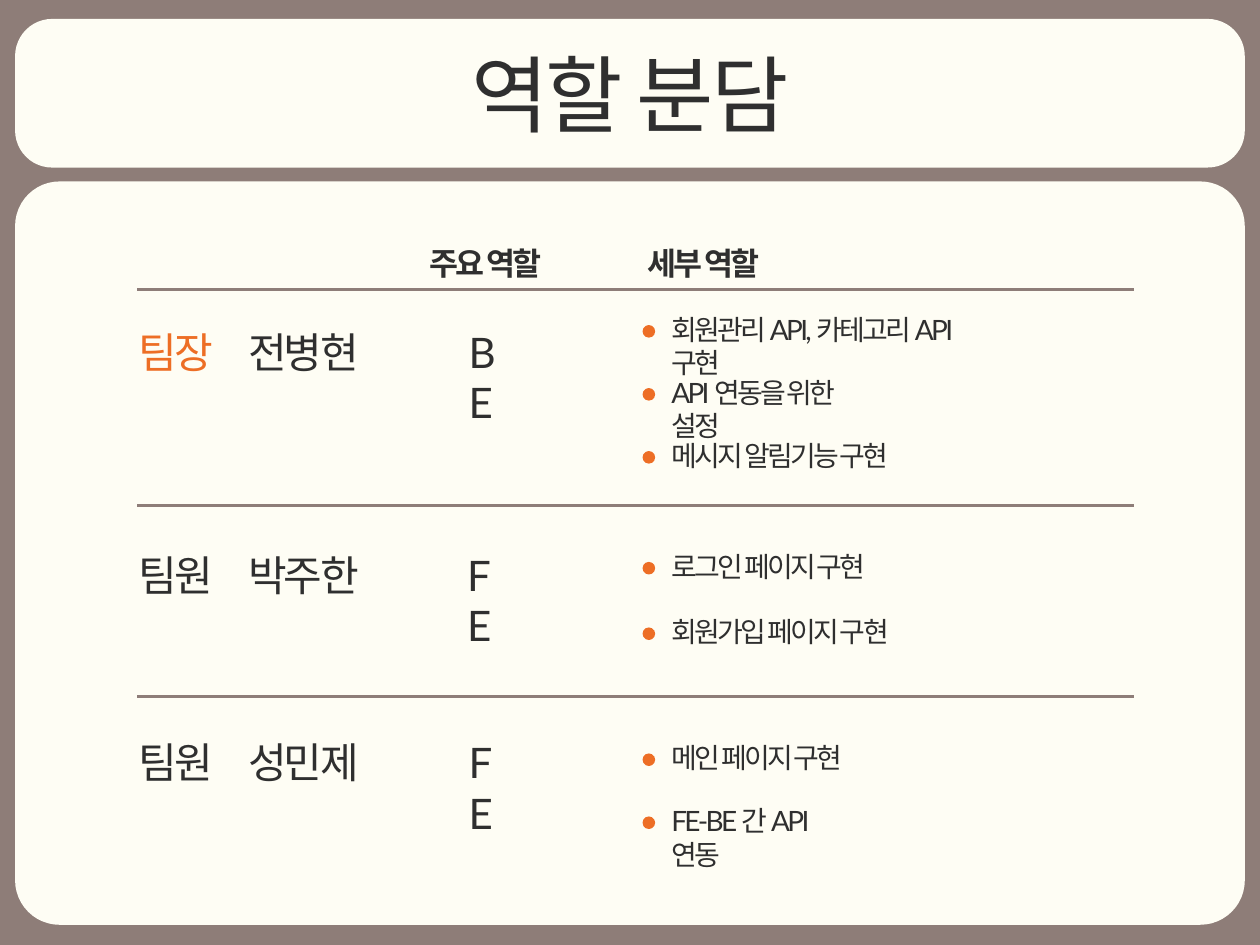
"""Build the team role assignment slide."""
from lxml.etree import SubElement
from pptx import Presentation
from pptx.dml.color import RGBColor
from pptx.enum.shapes import MSO_CONNECTOR, MSO_SHAPE
from pptx.enum.text import MSO_ANCHOR, MSO_AUTO_SIZE, PP_ALIGN
from pptx.oxml.ns import qn
from pptx.util import Inches, Pt

TAUPE = RGBColor(0x8E, 0x7D, 0x78)
CREAM = RGBColor(0xFE, 0xFD, 0xF4)
DARK = RGBColor(0x2F, 0x2F, 0x2F)
ORANGE = RGBColor(0xED, 0x6E, 0x25)
KOREAN_FONT = "Noto Sans CJK KR"
LATIN_FONT = "Lato"


def write_text(shape, text, size, font_name, color=DARK, bold=False):
    frame = shape.text_frame
    frame.word_wrap = True
    frame.auto_size = MSO_AUTO_SIZE.SHAPE_TO_FIT_TEXT
    frame.vertical_anchor = MSO_ANCHOR.TOP
    paragraph = frame.paragraphs[0]
    paragraph.text = text
    font = paragraph.font
    font.size = Pt(size)
    font.bold = bold
    font.color.rgb = color
    font.name = font_name
    properties = paragraph._p.pPr.find(qn("a:defRPr"))
    properties.set("spc", "-150")
    SubElement(properties, qn("a:ea")).set("typeface", KOREAN_FONT)


def add_filled_shape(shapes, kind, left, top, width, height, color):
    shape = shapes.add_shape(kind, Inches(left), Inches(top), Inches(width), Inches(height))
    shape.shadow.inherit = False
    shape.fill.solid()
    shape.fill.fore_color.rgb = color
    shape.line.fill.background()
    return shape


presentation = Presentation()
presentation.slide_width = Inches(10)
presentation.slide_height = Inches(7.5)
slide = presentation.slides.add_slide(presentation.slide_layouts[5])
slide.background.fill.solid()
slide.background.fill.fore_color.rgb = TAUPE

for top, height, rounding in [(0.15, 1.18, 0.25), (1.44, 5.9, 0.06)]:
    card = add_filled_shape(slide.shapes, MSO_SHAPE.ROUNDED_RECTANGLE, 0.12, top, 9.76, height, CREAM)
    card.adjustments[0] = rounding

title = slide.shapes.title
title.left, title.top, title.width, title.height = Inches(3.59), Inches(0.29), Inches(2.82), Inches(0.91)
write_text(title, "역할 분담", 48, KOREAN_FONT)
title.text_frame.paragraphs[0].alignment = PP_ALIGN.CENTER
slide.shapes._spTree.append(title._element)

for left, heading in [(3.31, "주요 역할"), (5.04, "세부 역할")]:
    box = slide.shapes.add_textbox(Inches(left), Inches(1.89), Inches(1.16), Inches(0.4))
    write_text(box, heading, 18, LATIN_FONT, bold=True)

for top in (2.3, 4.01, 5.53):
    divider = slide.shapes.add_connector(
        MSO_CONNECTOR.STRAIGHT, Inches(1.09), Inches(top), Inches(9), Inches(top))
    divider.line.color.rgb = TAUPE
    divider.line.width = Pt(1.5)
    SubElement(divider._element.spPr, qn("a:effectLst"))

members = [
    (2.54, "팀장", ORANGE, "전병현", "BE", 3.62, 0.55),
    (4.31, "팀원", DARK, "박주한", "FE", 3.61, 0.52),
    (5.8, "팀원", DARK, "성민제", "FE", 3.62, 0.52),
]
for top, position, color, name, role, role_left, role_width in members:
    cells = [
        (1, 0.79, position, KOREAN_FONT, color),
        (1.87, 1.09, name, KOREAN_FONT, DARK),
        (role_left, role_width, role, LATIN_FONT, DARK),
    ]
    for left, width, text, font_name, text_color in cells:
        box = slide.shapes.add_textbox(Inches(left), Inches(top), Inches(width), Inches(0.5))
        write_text(box, text, 24, font_name, text_color)

tasks = [
    (2.43, 2.75, "회원관리 API, 카테고리 API 구현"),
    (2.93, 1.86, "API 연동을 위한 설정"),
    (3.43, 1.96, "메시지 알림기능 구현"),
    (4.31, 1.79, "로그인 페이지 구현"),
    (4.83, 1.98, "회원가입 페이지 구현"),
    (5.83, 1.6, "메인 페이지 구현"),
    (6.33, 1.57, "FE-BE 간 API 연동"),
]
for top, width, task in tasks:
    group = slide.shapes.add_group_shape()
    box = group.shapes.add_textbox(Inches(5.23), Inches(top), Inches(width), Inches(0.37))
    write_text(box, task, 16, LATIN_FONT)
    add_filled_shape(group.shapes, MSO_SHAPE.OVAL, 5.1, top + 0.15, 0.1, 0.1, ORANGE)

presentation.save("out.pptx")
